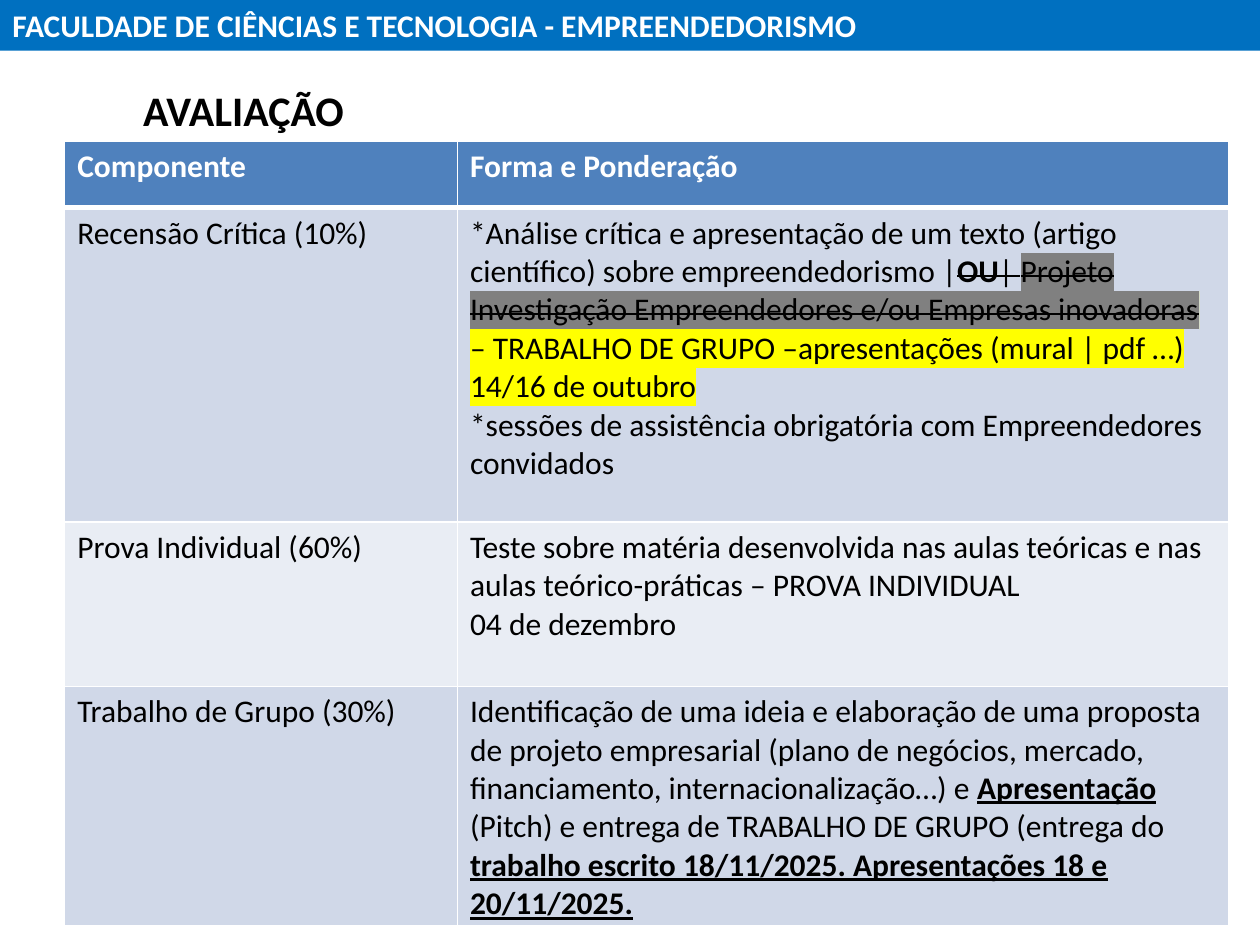
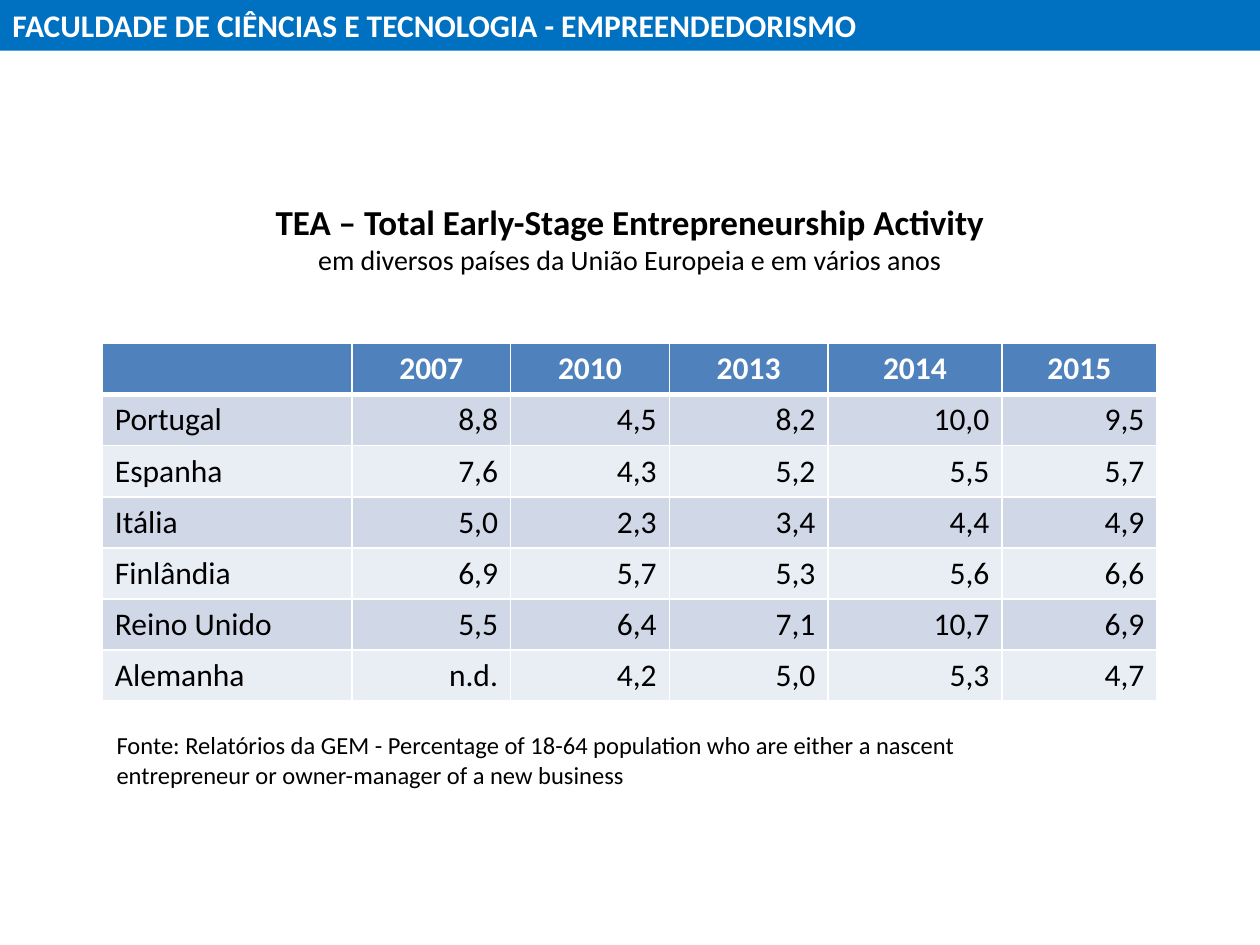
"""Build two course slides: assessment rules and early-stage entrepreneurship rates."""
import dataclasses

import lxml.etree
import pptx
import pptx.dml.color
import pptx.enum.shapes
import pptx.enum.text
import pptx.oxml.ns
import pptx.util

Pt = pptx.util.Pt
qn = pptx.oxml.ns.qn
ALIGN = pptx.enum.text.PP_ALIGN


@dataclasses.dataclass(frozen=True)
class Theme:
    font: str = "Calibri"
    band: str = "0070C0"
    header: str = "4F81BD"
    rows: tuple = ("D0D8E8", "E9EDF4")
    light: str = "FFFFFF"
    dark: str = "000000"
    struck: str = "808080"
    marker: str = "FFFF00"
    title: int = 24
    heading: int = 20
    body: int = 18
    subtitle: int = 16
    source: int = 14
    border: int = 1
    header_border: int = 3


THEME = Theme()
BAND_TEXT = "FACULDADE DE CIÊNCIAS E TECNOLOGIA - EMPREENDEDORISMO"

COMPONENTS = [
    ("Recensão Crítica (10%)", [
        [("*Análise crítica e apresentação de um texto (artigo científico) sobre empreendedorismo |", {}),
         ("OU", {"bold": True, "strike": True}),
         ("| ", {"strike": True}),
         ("Projeto Investigação Empreendedores e/ou Empresas inovadoras",
          {"strike": True, "highlight": THEME.struck}),
         (" ", {"strike": True, "highlight": THEME.marker}),
         ("– TRABALHO DE GRUPO –apresentações (mural | pdf …) 14/16 de outubro",
          {"highlight": THEME.marker})],
        [("*sessões de assistência obrigatória com Empreendedores convidados", {})],
    ]),
    ("Prova Individual (60%)", [
        [("Teste sobre matéria desenvolvida nas aulas teóricas e nas aulas teórico-práticas"
          " – PROVA INDIVIDUAL", {})],
        [("04 de dezembro", {})],
    ]),
    ("Trabalho de Grupo (30%)", [
        [("Identificação de uma ideia e elaboração de uma proposta de projeto empresarial (plano de "
          "negócios, mercado, financiamento, internacionalização…) e ", {}),
         ("Apresentação", {"bold": True, "underline": True}),
         (" (Pitch) e entrega de TRABALHO DE GRUPO (entrega do ", {}),
         ("trabalho escrito 18/11/2025. Apresentações 18 e 20/11/2025.",
          {"bold": True, "underline": True})],
    ]),
]

YEARS = ["2007", "2010", "2013", "2014", "2015"]
RATES = [
    ("Portugal", "8,8", "4,5", "8,2", "10,0", "9,5"),
    ("Espanha", "7,6", "4,3", "5,2", "5,5", "5,7"),
    ("Itália", "5,0", "2,3", "3,4", "4,4", "4,9"),
    ("Finlândia", "6,9", "5,7", "5,3", "5,6", "6,6"),
    ("Reino Unido", "5,5", "6,4", "7,1", "10,7", "6,9"),
    ("Alemanha", "n.d.", "4,2", "5,0", "5,3", "4,7"),
]


def rgb(value):
    """Turn a hex string into a colour."""
    return pptx.dml.color.RGBColor.from_string(value)


def add_run(paragraph, text, size=THEME.body, color=THEME.dark, bold=False,
            underline=False, strike=False, highlight=None):
    """Append a formatted run to a paragraph."""
    run = paragraph.add_run()
    run.text = text
    font = run.font
    font.size, font.bold, font.underline = Pt(size), bold, underline
    font.color.rgb = rgb(color)
    properties = run._r.get_or_add_rPr()
    if strike:
        properties.set("strike", "sngStrike")
    if highlight:
        element = lxml.etree.SubElement(properties, qn("a:highlight"))
        lxml.etree.SubElement(element, qn("a:srgbClr"), val=highlight)
    font.name = THEME.font


def write_paragraphs(frame, paragraphs, align=ALIGN.LEFT, **defaults):
    """Fill a text frame with paragraphs, each a list of (text, format) runs."""
    for index, runs in enumerate(paragraphs):
        paragraph = frame.add_paragraph() if index else frame.paragraphs[0]
        paragraph.alignment = align
        for text, overrides in runs:
            add_run(paragraph, text, **{**defaults, **overrides})


def add_text(slide, box, paragraphs, **text_format):
    """Add a wrapping text box at (left, top, width, height) in points."""
    shape = slide.shapes.add_textbox(*map(Pt, box))
    shape.text_frame.word_wrap = True
    write_paragraphs(shape.text_frame, paragraphs, **text_format)


def add_band_slide(presentation):
    """Add a blank slide with the course band across its top."""
    slide = presentation.slides.add_slide(presentation.slide_layouts[6])
    shape = slide.shapes.add_shape(pptx.enum.shapes.MSO_SHAPE.RECTANGLE,
                                   0, 0, presentation.slide_width, Pt(29))
    shape.shadow.inherit = False
    shape.fill.solid()
    shape.fill.fore_color.rgb = rgb(THEME.band)
    shape.line.fill.background()
    write_paragraphs(shape.text_frame, [[(BAND_TEXT, {})]], color=THEME.light, bold=True)
    return slide


def style_cell(cell, row_index):
    """Give a cell its borders and fill, with a thick line under the header."""
    thick_side = {0: "lnB", 1: "lnT"}.get(row_index)
    properties = cell._tc.get_or_add_tcPr()
    for side in ("lnL", "lnR", "lnT", "lnB"):
        width = THEME.header_border if side == thick_side else THEME.border
        line = lxml.etree.SubElement(properties, qn(f"a:{side}"), w=str(Pt(width)))
        fill = lxml.etree.SubElement(line, qn("a:solidFill"))
        lxml.etree.SubElement(fill, qn("a:srgbClr"), val=THEME.light)
    cell.fill.solid()
    cell.fill.fore_color.rgb = rgb(THEME.rows[(row_index - 1) % 2] if row_index else THEME.header)


def add_grid(slide, left, top, widths, heights):
    """Add a table with a header fill and alternating row fills."""
    table = slide.shapes.add_table(len(heights), len(widths), Pt(left), Pt(top),
                                   Pt(sum(widths)), Pt(sum(heights))).table
    for column, width in zip(table.columns, widths):
        column.width = Pt(width)
    for index, (row, height) in enumerate(zip(table.rows, heights)):
        row.height = Pt(height)
        for cell in row.cells:
            style_cell(cell, index)
    return table


def write_row(table, index, contents, value_align=ALIGN.LEFT):
    """Write one row of a table, whose cells hold plain text or paragraphs."""
    header = index == 0
    for column, content in enumerate(contents):
        if content:
            paragraphs = [[(content, {})]] if isinstance(content, str) else content
            write_paragraphs(table.cell(index, column).text_frame, paragraphs,
                             align=value_align if column else ALIGN.LEFT,
                             color=THEME.light if header else THEME.dark, bold=header)


def build_assessment(presentation):
    """Build the slide on assessment components and weights."""
    slide = add_band_slide(presentation)
    add_text(slide, (74.7, 44.6, 590, 36), [[("AVALIAÇÃO", {})]], size=THEME.title, bold=True)
    table = add_grid(slide, 37, 80.7, (224.4, 441), (38, 179.5, 94, 137))
    write_row(table, 0, ("Componente", "Forma e Ponderação"))
    for index, component in enumerate(COMPONENTS, 1):
        write_row(table, index, component)


def build_rates(presentation):
    """Build the slide on entrepreneurship rates by country and year."""
    slide = add_band_slide(presentation)
    table = add_grid(slide, 58.5, 196.3, (142.6, 90.7, 90.7, 90.7, 99.4, 88.6),
                     [29.2] * (len(RATES) + 1))
    write_row(table, 0, ["", *YEARS], ALIGN.CENTER)
    for index, rates in enumerate(RATES, 1):
        write_row(table, index, rates, ALIGN.RIGHT)
    add_text(slide, (110.5, 111.3, 499, 51), [
        [("TEA – Total Early-Stage Entrepreneurship Activity", {"size": THEME.heading, "bold": True})],
        [("em diversos países da União Europeia e em vários anos", {"size": THEME.subtitle})],
    ], align=ALIGN.CENTER)
    add_text(slide, (59.5, 413.7, 516, 41), [
        [("Fonte: Relatórios da GEM - Percentage of 18-64 population who are either a nascent "
          "entrepreneur or owner-manager of a new business", {})],
    ], size=THEME.source)


def main():
    """Build and save the presentation."""
    presentation = pptx.Presentation()
    presentation.slide_width, presentation.slide_height = Pt(720), Pt(540)
    build_assessment(presentation)
    build_rates(presentation)
    presentation.save("out.pptx")


if __name__ == "__main__":
    main()
